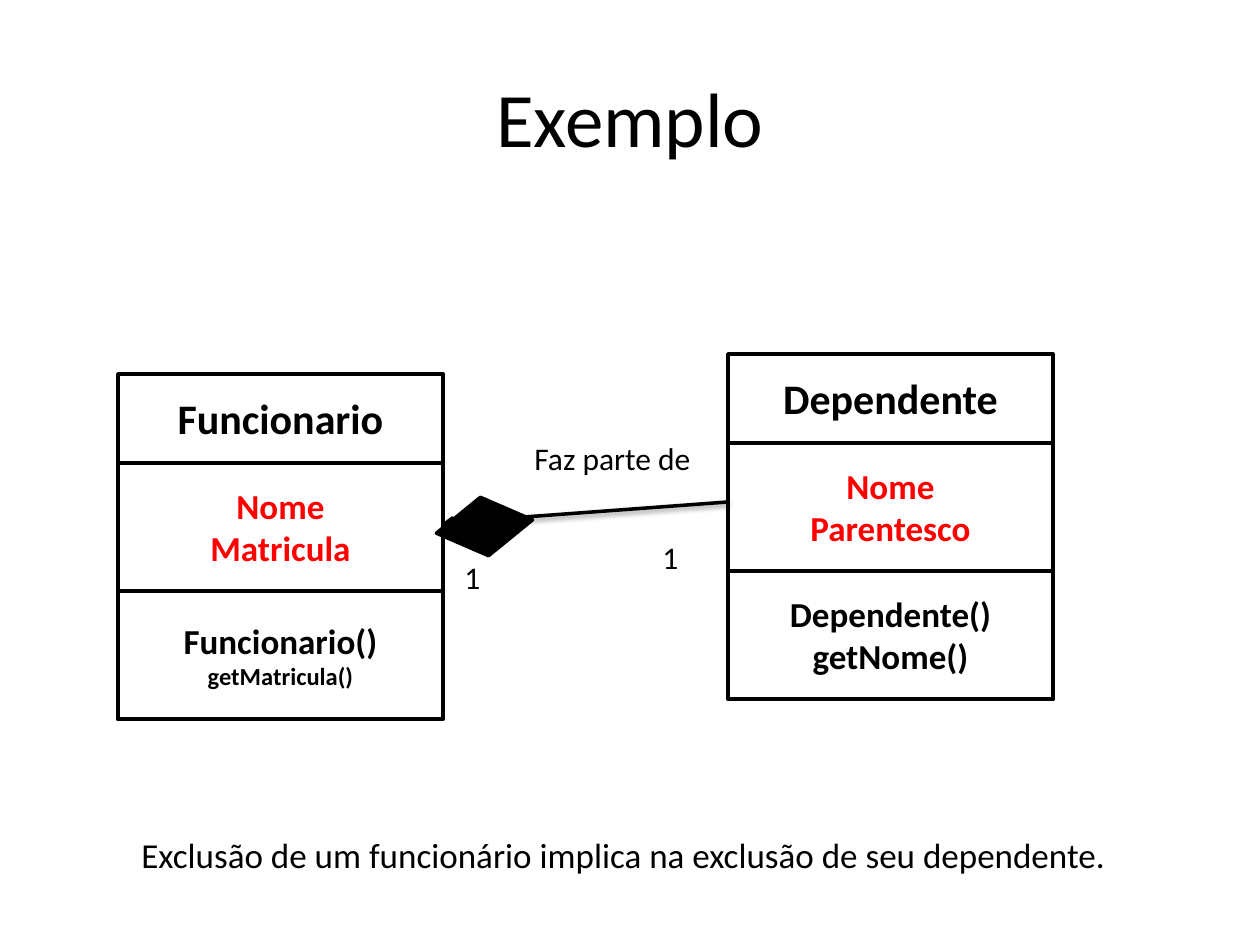
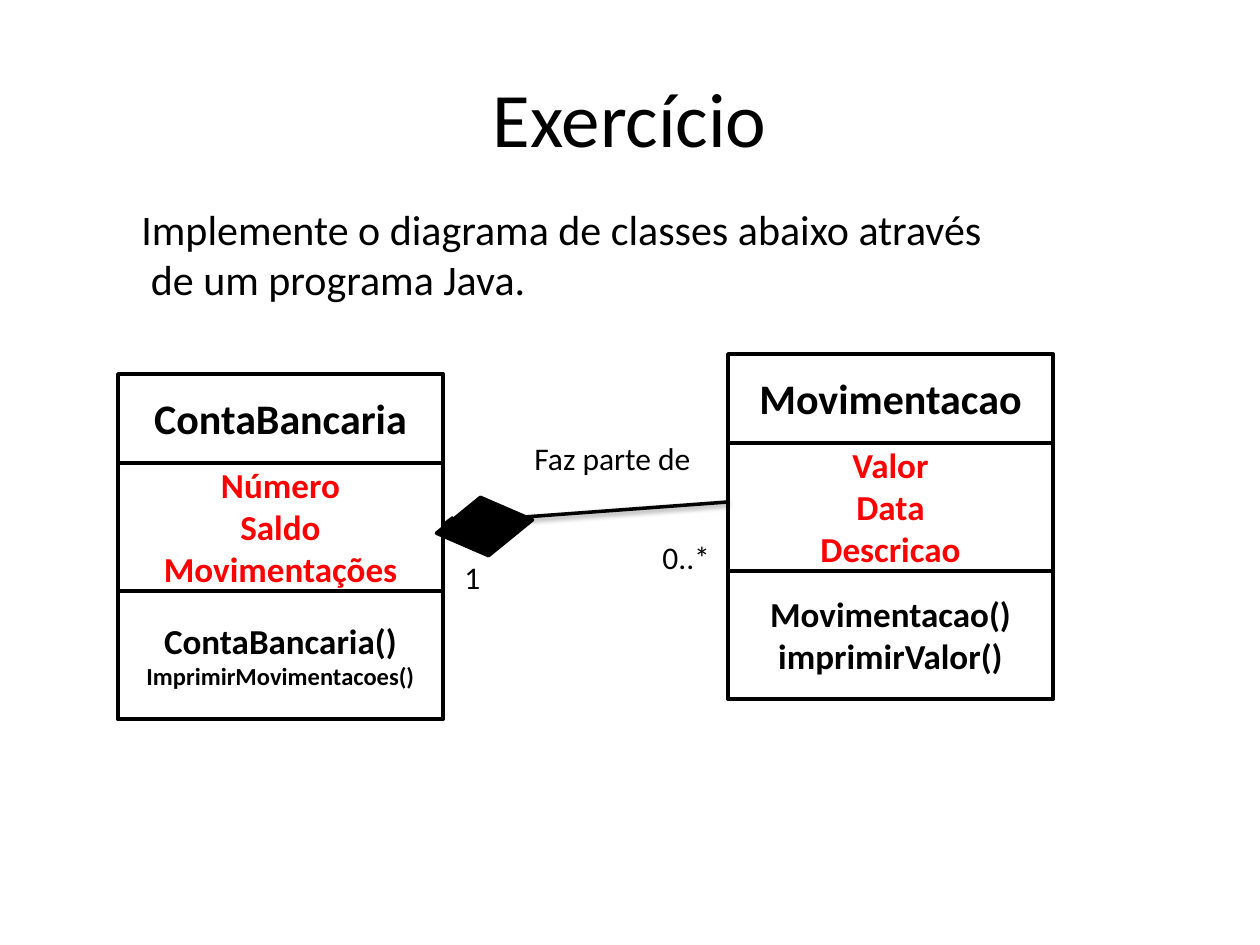
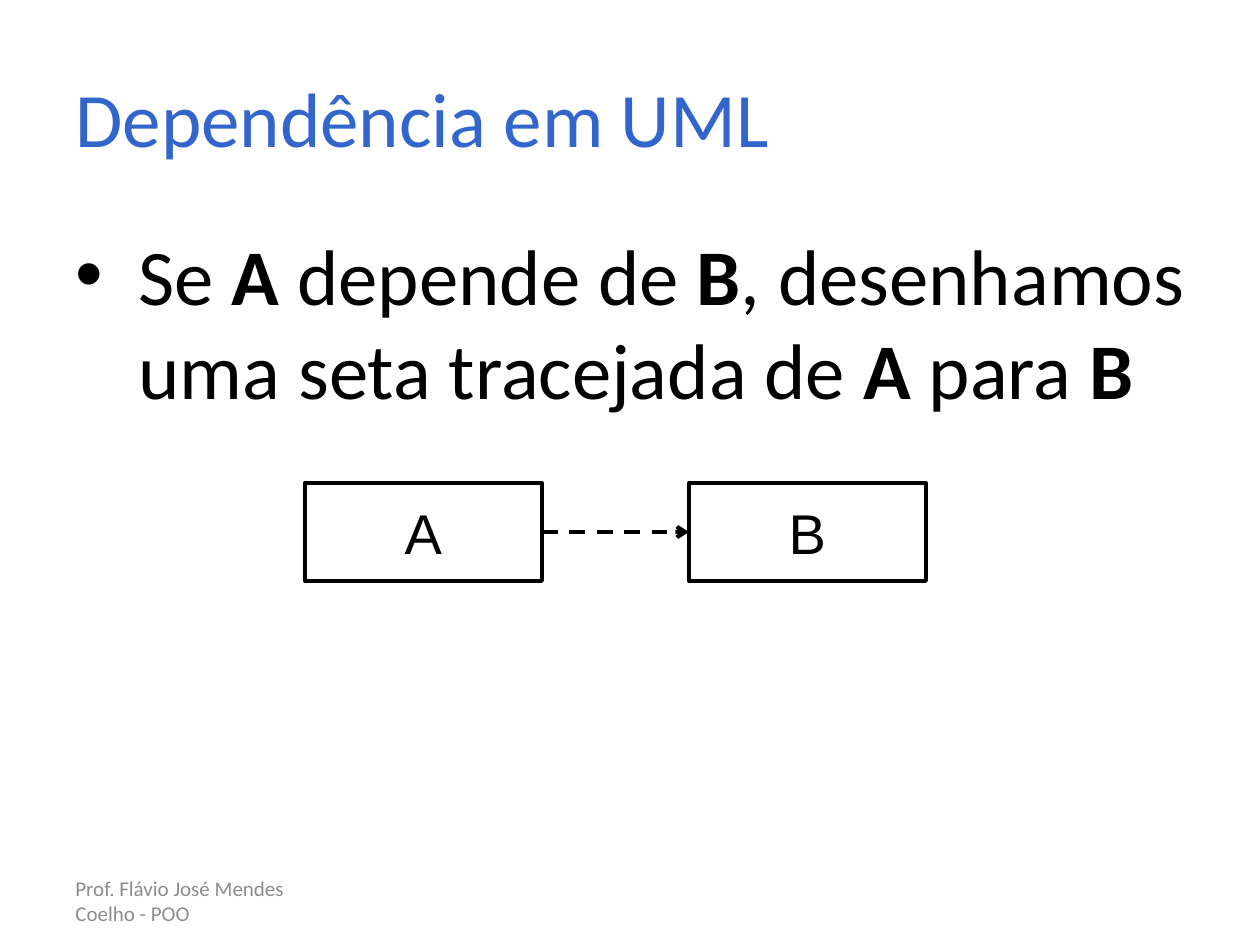
"""Build three UML slides on composition and dependency."""

from dataclasses import dataclass

from lxml import etree
from pptx import Presentation
from pptx.dml.color import RGBColor
from pptx.enum.dml import MSO_LINE
from pptx.enum.shapes import MSO_CONNECTOR, MSO_SHAPE
from pptx.enum.text import MSO_ANCHOR, MSO_AUTO_SIZE, PP_ALIGN
from pptx.oxml.ns import qn
from pptx.shapes.autoshape import Shape
from pptx.shapes.connector import Connector
from pptx.slide import Slide
from pptx.text.text import TextFrame
from pptx.util import Emu, Pt

RECTANGLE, DIAMOND = MSO_SHAPE.RECTANGLE, MSO_SHAPE.DIAMOND
STRAIGHT, DASH = MSO_CONNECTOR.STRAIGHT, MSO_LINE.DASH
TOP, MIDDLE = MSO_ANCHOR.TOP, MSO_ANCHOR.MIDDLE
LEFT, CENTER, JUSTIFY = PP_ALIGN.LEFT, PP_ALIGN.CENTER, PP_ALIGN.JUSTIFY
GROW, FIXED = MSO_AUTO_SIZE.SHAPE_TO_FIT_TEXT, MSO_AUTO_SIZE.NONE

PX_PER_INCH = 126
TITLE_AND_BODY, TITLE_ONLY = 1, 5

BLACK = RGBColor(0x00, 0x00, 0x00)
WHITE = RGBColor(0xFF, 0xFF, 0xFF)
RED = RGBColor(0xFF, 0x00, 0x00)
BLUE = RGBColor(0x33, 0x66, 0xCC)
GRAY = RGBColor(0x8C, 0x8C, 0x8C)


@dataclass(frozen=True)
class TextStyle:
    """Type size, colour, weight and face of a paragraph."""

    size: int
    color: RGBColor = BLACK
    bold: bool = False
    font: str = "Calibri"


@dataclass(frozen=True)
class Theme:
    """Colours, line widths and text styles of the deck."""

    ink: RGBColor = BLACK
    paper: RGBColor = WHITE
    class_line: float = 2
    node_line: float = 2.25
    title: TextStyle = TextStyle(44)
    blue_title: TextStyle = TextStyle(44, BLUE)
    body: TextStyle = TextStyle(45)
    class_name: TextStyle = TextStyle(24, bold=True)
    attribute: TextStyle = TextStyle(20, RED, bold=True)
    method: TextStyle = TextStyle(20, bold=True)
    small_method: TextStyle = TextStyle(14, bold=True)
    label: TextStyle = TextStyle(18)
    note: TextStyle = TextStyle(20)
    prompt: TextStyle = TextStyle(24)
    node: TextStyle = TextStyle(32, font="Arial")
    footer: TextStyle = TextStyle(12, GRAY)


THEME = Theme()


@dataclass(frozen=True)
class Box:
    """A rectangle in px."""

    left: int
    top: int
    width: int
    height: int

    def emu(self) -> tuple[Emu, Emu, Emu, Emu]:
        """Return the four lengths in EMU."""
        return px(self.left), px(self.top), px(self.width), px(self.height)


@dataclass(frozen=True)
class Line:
    """One paragraph and its style."""

    text: str
    style: TextStyle


@dataclass(frozen=True)
class UmlClass:
    """A class with its attributes and methods."""

    name: str
    attributes: tuple[str, ...]
    methods: tuple[Line, ...]


@dataclass(frozen=True)
class Composition:
    """A slide showing an owner class, its member class and a remark."""

    title: str
    owner: UmlClass
    member: UmlClass
    member_count: str
    member_count_width: int
    remark: tuple[Line, ...]
    remark_box: Box


TITLE_BOX = Box(63, 38, 1134, 157)
BODY_BOX = Box(63, 220, 1134, 624)
FOOTER_BOX = Box(63, 876, 293, 50)
CLASS_WIDTH, NAME_HEIGHT, SECTION_HEIGHT = 325, 89, 128
NAME_INSET, BULLET_INDENT = 18, 63
OWNER_LEFT, OWNER_TOP = 118, 374
MEMBER_LEFT, MEMBER_TOP = 728, 354
DIAMOND_BOX, DIAMOND_ANGLE = Box(455, 478, 59, 97), 262.1
NODE_WIDTH, NODE_HEIGHT, NODE_TOP, NODE_LEFT, NODE_GAP = 237, 98, 483, 305, 147

COMPOSITIONS = (
    Composition(
        "Exemplo",
        UmlClass(
            "Funcionario",
            ("Nome", "Matricula"),
            (Line("Funcionario()", THEME.method), Line("getMatricula()", THEME.small_method)),
        ),
        UmlClass(
            "Dependente",
            ("Nome", "Parentesco"),
            (Line("Dependente()", THEME.method), Line("getNome()", THEME.method)),
        ),
        "1",
        42,
        (Line("Exclusão de um funcionário implica na exclusão de seu dependente.", THEME.note),),
        Box(129, 827, 1027, 55),
    ),
    Composition(
        "Exercício",
        UmlClass(
            "ContaBancaria",
            ("Número", "Saldo", "Movimentações"),
            (
                Line("ContaBancaria()", THEME.method),
                Line("ImprimirMovimentacoes()", THEME.small_method),
            ),
        ),
        UmlClass(
            "Movimentacao",
            ("Valor", "Data", "Descricao"),
            (Line("Movimentacao()", THEME.method), Line("imprimirValor()", THEME.method)),
        ),
        "0..*",
        73,
        (
            Line("Implemente o diagrama de classes abaixo através", THEME.prompt),
            Line(" de um programa Java.", THEME.prompt),
        ),
        Box(129, 197, 873, 115),
    ),
)

DEPENDENCY_SPANS = (
    ("Se ", False),
    ("A", True),
    (" depende de ", False),
    ("B", True),
    (", desenhamos uma seta tracejada de ", False),
    ("A", True),
    (" para ", False),
    ("B", True),
)


def px(length: int) -> Emu:
    """Turn px into EMU."""
    return Emu(round(length * 914400 / PX_PER_INCH))


def style_paragraph(para, style: TextStyle, align: PP_ALIGN) -> None:
    """Apply a text style and an alignment to a paragraph."""
    para.alignment = align
    para.font.size = Pt(style.size)
    para.font.name = style.font
    para.font.bold = style.bold
    para.font.color.rgb = style.color


def write(frame: TextFrame, lines: tuple[Line, ...], align: PP_ALIGN) -> None:
    """Fill a text frame with one paragraph per line."""
    for index, line in enumerate(lines):
        para = frame.add_paragraph() if index else frame.paragraphs[0]
        para.add_run().text = line.text
        style_paragraph(para, line.style, align)


def place(shape: Shape, box: Box) -> None:
    """Move and size a shape."""
    shape.left, shape.top, shape.width, shape.height = box.emu()


def add_title(slide: Slide, text: str, style: TextStyle, align: PP_ALIGN) -> None:
    """Fill the title placeholder."""
    title = slide.shapes.title
    place(title, TITLE_BOX)
    title.text_frame.vertical_anchor = MIDDLE
    write(title.text_frame, (Line(text, style),), align)


def add_text(slide: Slide, box: Box, lines: tuple[Line, ...]) -> None:
    """Add an unwrapped text box that grows with its text."""
    frame = slide.shapes.add_textbox(*box.emu()).text_frame
    frame.word_wrap = False
    frame.auto_size = GROW
    write(frame, lines, LEFT)


def add_block(
    slide: Slide, kind: MSO_SHAPE, box: Box, fill: RGBColor, line_width: float
) -> Shape:
    """Add a filled and outlined preset shape."""
    block = slide.shapes.add_shape(kind, *box.emu())
    block.shadow.inherit = False
    block.fill.solid()
    block.fill.fore_color.rgb = fill
    block.line.color.rgb = THEME.ink
    block.line.width = Pt(line_width)
    return block


def add_section(
    slide: Slide, box: Box, lines: tuple[Line, ...], line_width: float = THEME.class_line
) -> Shape:
    """Add an outlined rectangle with centred text."""
    section = add_block(slide, RECTANGLE, box, THEME.paper, line_width)
    frame = section.text_frame
    frame.margin_top = frame.margin_bottom = 0
    frame.vertical_anchor = MIDDLE
    write(frame, lines, CENTER)
    return section


def add_class(slide: Slide, left: int, top: int, uml: UmlClass) -> None:
    """Draw a class as a named frame with two sections."""
    outline = Box(left, top, CLASS_WIDTH, NAME_HEIGHT + 2 * SECTION_HEIGHT)
    frame = add_section(slide, outline, (Line(uml.name, THEME.class_name),)).text_frame
    frame.vertical_anchor = TOP
    frame.margin_top = px(NAME_INSET)
    attributes = tuple(Line(name, THEME.attribute) for name in uml.attributes)
    for index, lines in enumerate((attributes, uml.methods)):
        section_top = top + NAME_HEIGHT + index * SECTION_HEIGHT
        add_section(slide, Box(left, section_top, CLASS_WIDTH, SECTION_HEIGHT), lines)


def add_arrow(
    slide: Slide, start: tuple[int, int], end: tuple[int, int], width: float, arrow_end: str
) -> Connector:
    """Add a straight connector with an open arrowhead and no shadow."""
    arrow = slide.shapes.add_connector(STRAIGHT, *map(px, start + end))
    arrow.line.color.rgb = THEME.ink
    arrow.line.width = Pt(width)
    properties = arrow.element.spPr
    etree.SubElement(properties.find(qn("a:ln")), qn(arrow_end), type="arrow")
    etree.SubElement(properties, qn("a:effectLst"))
    return arrow


def add_soft_shadow(arrow: Connector) -> None:
    """Put a soft shadow straight below a connector."""
    effects = arrow.element.spPr.find(qn("a:effectLst"))
    shadow = etree.SubElement(
        effects,
        qn("a:outerShdw"),
        blurRad=str(Pt(3.1)),
        dist=str(Pt(1.6)),
        dir="5400000",
        rotWithShape="0",
    )
    color = etree.SubElement(shadow, qn("a:srgbClr"), val=str(THEME.ink))
    etree.SubElement(color, qn("a:alpha"), val="38000")


def add_composition(slide: Slide, content: Composition) -> None:
    """Draw two classes joined by a composition."""
    add_title(slide, content.title, THEME.title, CENTER)
    add_class(slide, OWNER_LEFT, OWNER_TOP, content.owner)
    add_class(slide, MEMBER_LEFT, MEMBER_TOP, content.member)
    labels = (
        (content.member_count, Box(650, 532, content.member_count_width, 50)),
        ("1", Box(452, 552, 42, 50)),
        ("Faz parte de", Box(522, 433, 184, 50)),
    )
    for text, box in labels:
        add_text(slide, box, (Line(text, THEME.label),))
    link = add_arrow(
        slide, (OWNER_LEFT + CLASS_WIDTH, 523), (MEMBER_LEFT, 502), THEME.class_line, "a:headEnd"
    )
    add_soft_shadow(link)
    diamond = add_block(slide, DIAMOND, DIAMOND_BOX, THEME.ink, THEME.class_line)
    diamond.rotation = DIAMOND_ANGLE
    add_text(slide, content.remark_box, content.remark)


def add_dependency(slide: Slide) -> None:
    """Draw the dependency slide with its bullet, nodes and footer."""
    add_title(slide, "Dependência em UML", THEME.blue_title, LEFT)
    body = slide.placeholders[1]
    place(body, BODY_BOX)
    body.text_frame.auto_size = FIXED
    para = body.text_frame.paragraphs[0]
    style_paragraph(para, THEME.body, JUSTIFY)
    properties = para._p.get_or_add_pPr()
    properties.set("marL", str(px(BULLET_INDENT)))
    properties.set("indent", str(-px(BULLET_INDENT)))
    for text, bold in DEPENDENCY_SPANS:
        span = para.add_run()
        span.text = text
        span.font.bold = bold

    footer = slide.shapes.add_textbox(*FOOTER_BOX.emu()).text_frame
    footer.word_wrap = True
    footer.vertical_anchor = MIDDLE
    write(footer, (Line("Prof. Flávio José Mendes Coelho - POO", THEME.footer),), LEFT)

    for index, name in enumerate("AB"):
        left = NODE_LEFT + index * (NODE_WIDTH + NODE_GAP)
        box = Box(left, NODE_TOP, NODE_WIDTH, NODE_HEIGHT)
        add_section(slide, box, (Line(name, THEME.node),), THEME.node_line)
    start, middle = NODE_LEFT + NODE_WIDTH, NODE_TOP + NODE_HEIGHT // 2
    arrow = add_arrow(
        slide, (start, middle), (start + NODE_GAP, middle), THEME.node_line, "a:tailEnd"
    )
    arrow.line.dash_style = DASH


def main() -> None:
    """Build and save the deck."""
    deck = Presentation()
    deck.slide_width, deck.slide_height = px(1260), px(945)
    for content in COMPOSITIONS:
        add_composition(deck.slides.add_slide(deck.slide_layouts[TITLE_ONLY]), content)
    add_dependency(deck.slides.add_slide(deck.slide_layouts[TITLE_AND_BODY]))
    deck.save("out.pptx")


if __name__ == "__main__":
    main()
